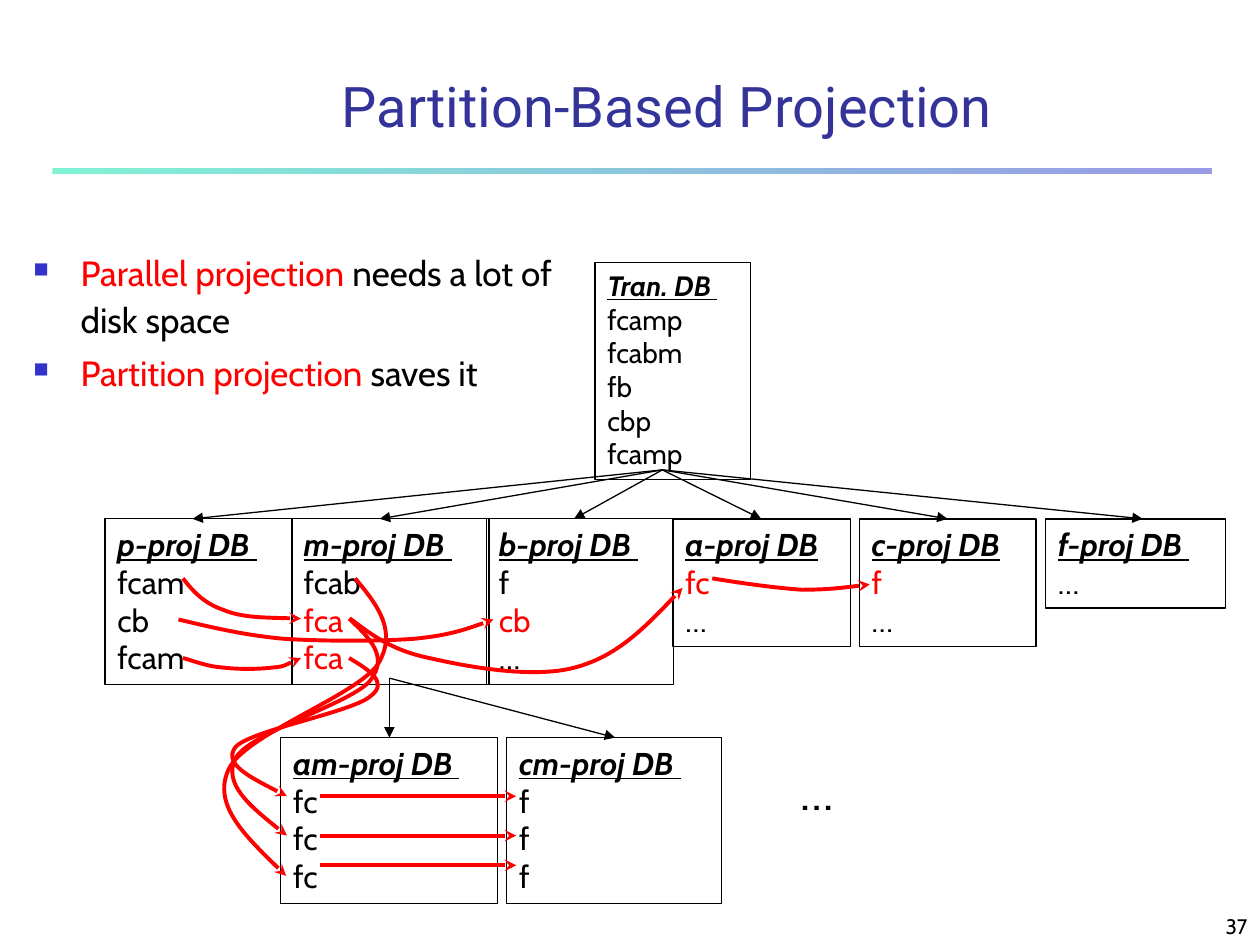
from dataclasses import dataclass

from lxml import etree
from pptx import Presentation
from pptx.dml.color import RGBColor
from pptx.enum.shapes import MSO_CONNECTOR, MSO_SHAPE
from pptx.enum.text import MSO_ANCHOR, MSO_AUTO_SIZE, PP_ALIGN
from pptx.oxml.ns import qn
from pptx.util import Pt

STRAIGHT = MSO_CONNECTOR.STRAIGHT
RECTANGLE = MSO_SHAPE.RECTANGLE
CENTER, RIGHT = PP_ALIGN.CENTER, PP_ALIGN.RIGHT
MIDDLE, BOTTOM = MSO_ANCHOR.MIDDLE, MSO_ANCHOR.BOTTOM
NO_AUTOFIT = MSO_AUTO_SIZE.NONE


@dataclass(frozen=True)
class Theme:
    heading_font: str = "Roboto"
    body_font: str = "Cabin"
    heading: RGBColor = RGBColor(0x33, 0x33, 0x99)
    ink: RGBColor = RGBColor(0, 0, 0)
    accent: RGBColor = RGBColor(0xFF, 0, 0)
    rule_start: RGBColor = RGBColor(0x80, 0xF2, 0xD4)
    rule_end: RGBColor = RGBColor(0x99, 0x99, 0xE6)
    bullet: str = "3333CC"
    title_size: int = 32
    ellipsis_size: int = 28
    bullet_size: int = 20
    table_size: int = 18
    source_size: int = 16
    number_size: int = 12
    thin: float = 0.75
    thick: float = 2.25


theme = Theme()


def set_font(paragraph, size, color=theme.ink, name=theme.body_font):
    paragraph.font.name = name
    paragraph.font.size = Pt(size)
    paragraph.font.color.rgb = color


def style_arrow(arrow, color, width, head):
    arrow.line.color.rgb = color
    arrow.line.width = Pt(width)
    properties = arrow._element.spPr
    etree.SubElement(properties.find(qn("a:ln")), qn("a:tailEnd"), type=head)
    etree.SubElement(properties, qn("a:effectLst"))


prs = Presentation()
prs.slide_width, prs.slide_height = Pt(720), Pt(540)
slide = prs.slides.add_slide(prs.slide_layouts[5])
shapes = slide.shapes

rule = shapes.add_shape(RECTANGLE, Pt(30), Pt(96), Pt(662.5), Pt(3.75))
rule.shadow.inherit = False
rule.line.fill.background()
rule.fill.gradient()
rule.fill.gradient_angle = 0
for stop, color in zip(rule.fill.gradient_stops, (theme.rule_start, theme.rule_end)):
    stop.color.rgb = color

title = shapes.title
title.left, title.top, title.width, title.height = Pt(72), Pt(36), Pt(618.5), Pt(48)
title.text_frame.text = "Partition-Based Projection"
title.text_frame.auto_size = NO_AUTOFIT
title.text_frame.vertical_anchor = MIDDLE
title.text_frame.paragraphs[0].alignment = CENTER
set_font(title.text_frame.paragraphs[0], theme.title_size, theme.heading, theme.heading_font)

page_number = shapes.add_textbox(Pt(570), Pt(510), Pt(150), Pt(30)).text_frame
page_number.text = "37"
page_number.vertical_anchor = BOTTOM
page_number.paragraphs[0].alignment = RIGHT
set_font(page_number.paragraphs[0], theme.number_size)

claims = shapes.add_textbox(Pt(12), Pt(138), Pt(324), Pt(108)).text_frame
claims.word_wrap = True
for index, (term, remark) in enumerate([
    ("Parallel projection ", "needs a lot of disk space"),
    ("Partition projection ", "saves it"),
]):
    claim = claims.add_paragraph() if index else claims.paragraphs[0]
    layout = claim._p.get_or_add_pPr()
    layout.set("marL", str(Pt(27)))
    layout.set("indent", str(Pt(-27)))
    bullet_color = etree.SubElement(layout, qn("a:buClr"))
    etree.SubElement(bullet_color, qn("a:srgbClr"), val=theme.bullet)
    etree.SubElement(layout, qn("a:buSzPct"), val="60000")
    etree.SubElement(layout, qn("a:buChar"), char="■")
    claim.line_spacing = 1.1
    if index:
        claim.space_before = Pt(4)
    set_font(claim, theme.bullet_size)
    term_run = claim.add_run()
    term_run.text = term
    term_run.font.color.rgb = theme.accent
    claim.add_run().text = remark

FIRST_LEVEL, SECOND_LEVEL = 296.5, 421.5
LINE_HEIGHT, PADDING = 1.215, 7.2
databases = [
    (340, 150, 89, theme.source_size, "Tran. DB ", ["fcamp", "fcabm", "fb", "cbp", "fcamp"], ()),
    (60, FIRST_LEVEL, 107, theme.table_size, "p-proj DB ", ["fcam", "cb", "fcam"], ()),
    (166.5, FIRST_LEVEL, 113, theme.table_size, "m-proj DB ", ["fcab", "fca", "fca"], (1, 2)),
    (278, FIRST_LEVEL, 107, theme.table_size, "b-proj DB ", ["f", "cb", "…"], (1,)),
    (384.5, FIRST_LEVEL, 101.5, theme.table_size, "a-proj DB", ["fc", "…"], (0,)),
    (491, FIRST_LEVEL, 101, theme.table_size, "c-proj DB", ["f", "…"], (0,)),
    (597.5, FIRST_LEVEL, 103, theme.table_size, "f-proj DB ", ["…"], ()),
    (160.5, SECOND_LEVEL, 124, theme.table_size, "am-proj DB ", ["fc", "fc", "fc"], ()),
    (289.5, SECOND_LEVEL, 123, theme.table_size, "cm-proj DB ", ["f", "f", "f"], ()),
]
for left, top, width, size, heading, transactions, projected in databases:
    height = PADDING + LINE_HEIGHT * size * (1 + len(transactions))
    database = shapes.add_textbox(Pt(left), Pt(top), Pt(width), Pt(height))
    database.line.color.rgb = theme.ink
    database.line.width = Pt(theme.thin)
    content = database.text_frame
    content.word_wrap = True
    content.text = heading
    header = content.paragraphs[0]
    set_font(header, size)
    header.font.bold = header.font.italic = header.font.underline = True
    for row, transaction in enumerate(transactions):
        entry = content.add_paragraph()
        entry.text = transaction
        set_font(entry, size, theme.accent if row in projected else theme.ink)

more = shapes.add_textbox(Pt(450.5), Pt(431.5), Pt(37.5), Pt(41)).text_frame
more.text = "…"
set_font(more.paragraphs[0], theme.ellipsis_size)

source_root, m_root = (378.5, 268.5), (222.5, 387.5)
branches = [(source_root, (x, FIRST_LEVEL)) for x in (110, 217, 328, 435, 541.5, 653)]
branches += [(m_root, (x, SECOND_LEVEL)) for x in (222.5, 351.5)]
arrows = [(start, end, theme.ink, theme.thin, "triangle") for start, end in branches]
arrows += [((183, y), (295, y), theme.accent, theme.thick, "stealth") for y in (455, 477.5, 494.5)]
for start, end, color, width, head in arrows:
    arrow = shapes.add_connector(STRAIGHT, *(Pt(value) for value in start + end))
    style_arrow(arrow, color, width, head)

projections = [
    [(104.5, 330.5), (110, 337.5), (116, 344.5), (127.5, 348.5),
     (138, 353), (155.5, 353), (172, 353.5)],
    [(200, 353.5), (211.5, 362), (223, 371.5), (245, 376), (266.5, 381),
     (304.5, 388), (328.5, 381.5), (353, 375), (371.5, 355.5), (390, 336)],
    [(407, 330.5), (425, 333.5), (443.5, 336), (458, 337),
     (473, 337), (484.5, 335.5), (497, 334)],
    [(104.5, 376), (111.5, 378), (119, 381), (127.5, 381.5), (135.5, 382.5),
     (147.5, 382.5), (155.5, 381.5), (162.5, 381), (167, 378), (172, 376)],
    [(199.5, 376), (211, 383), (222.5, 390), (211.5, 398), (201, 407),
     (142.5, 417.5), (134.5, 427), (127.5, 436.5), (145.5, 445.5), (164, 455)],
    [(199.5, 353.5), (211, 364.5), (222.5, 375), (211.5, 389), (201, 402),
     (142.5, 418.5), (134.5, 433.5), (127.5, 448), (145.5, 463), (164, 477.5)],
    [(203, 330.5), (215.5, 345.5), (227.5, 360.5), (216, 379.5), (204, 397.5),
     (139, 420), (130.5, 440), (121.5, 460), (142.5, 480), (163.5, 500.5)],
    [(102, 354), (121, 358.5), (139.5, 363), (162, 365), (184.5, 366.5),
     (216.5, 366.5), (237, 365), (257, 363), (269.5, 358.5), (282, 354)],
]
for points in projections:
    start, *controls = [(Pt(x), Pt(y)) for x, y in points]
    builder = shapes.build_freeform(*start)
    builder.add_line_segments(controls, close=False)
    projection = builder.convert_to_shape()
    segments = list(projection._element.iter(qn("a:lnTo")))
    outline = segments[0].getparent()
    for first in range(0, len(segments), 3):
        bezier = etree.SubElement(outline, qn("a:cubicBezTo"))
        for segment in segments[first:first + 3]:
            bezier.append(segment[0])
            outline.remove(segment)
    projection.fill.background()
    style_arrow(projection, theme.accent, theme.thick, "stealth")

prs.save("out.pptx")
